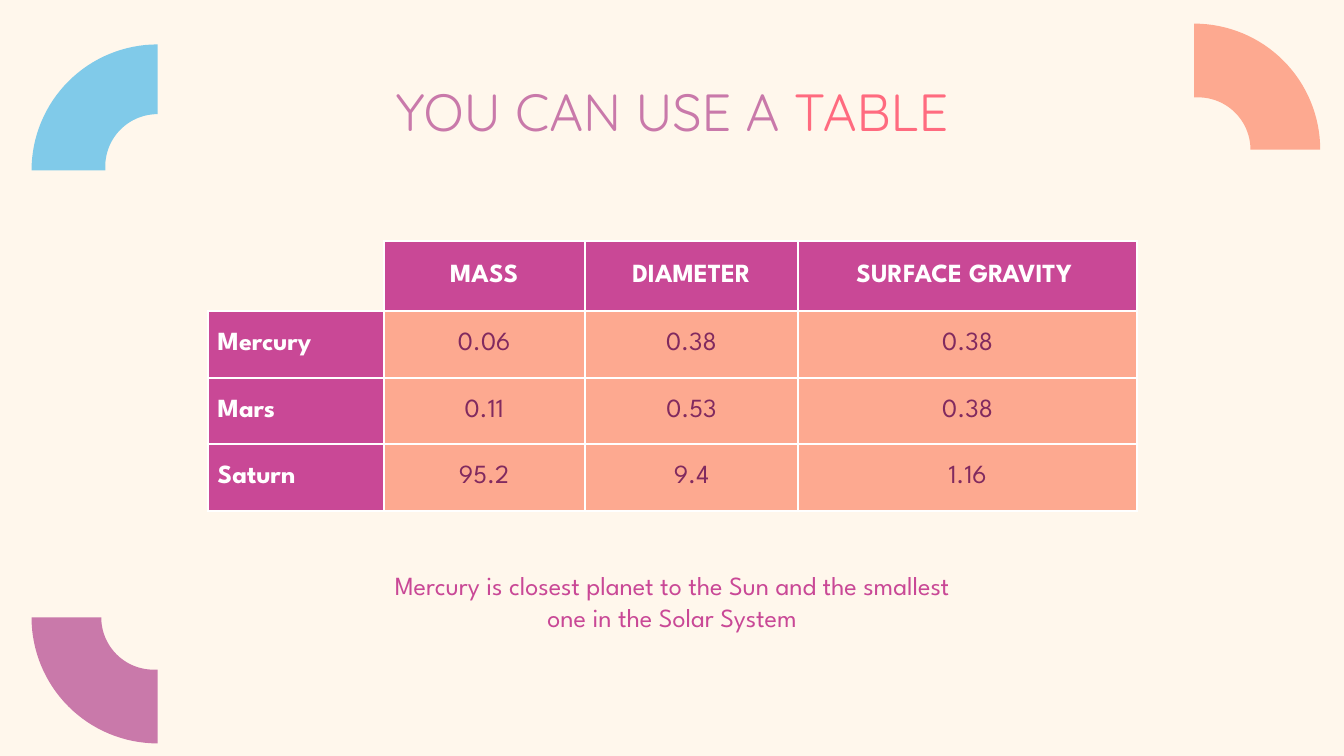
from dataclasses import dataclass
from math import cos, radians, sin

from lxml import etree
from pptx import Presentation
from pptx import util as u
from pptx.dml.color import RGBColor
from pptx.enum import text
from pptx.oxml import ns
from pptx.slide import Slide
from pptx.table import _Cell
from pptx.text.text import TextFrame

COLORS = {
    "cream": "FFF7EC",
    "mauve": "C979AA",
    "coral": "FF6B7F",
    "peach": "FDA990",
    "sky": "80CAE9",
    "magenta": "C94896",
    "plum": "812A5F",
    "white": "FFFFFF",
}
OUTER_RADIUS, INNER_RADIUS, INNER_SHIFT = 135, 56, 4.3
ARC_STEPS = 32
TEXT_INSET, CELL_INSET = 14.4, 10.8
BORDER_WIDTH = 2.25

TABLE_LEFT, TABLE_TOP = 222.5, 258.5
COLUMN_WIDTHS = [188.6, 215.3, 229, 362.9]
ROW_HEIGHTS = [75, 71.3, 71.3, 71.3]
PLANET_ROWS = [
    ["", "MASS", "DIAMETER", "SURFACE GRAVITY "],
    ["Mercury", "0.06", "0.38", "0.38"],
    ["Mars", "0.11", "0.53", "0.38"],
    ["Saturn", "95.2", "9.4", "1.16"],
]


@dataclass
class QuarterRing:
    center_x: float
    center_y: float
    start_angle: int
    color: str


@dataclass
class Run:
    text: str
    color: str
    font: str = "League Spartan"
    size: float = 28
    bold: bool = False


@dataclass
class TextBox:
    left: float
    top: float
    width: float
    height: float
    runs: list[Run]


RINGS = [
    QuarterRing(168.8, 661.5, 90, "mauve"),
    QuarterRing(1279.5, 160.3, 270, "peach"),
    QuarterRing(168.8, 182.6, 180, "sky"),
]
TEXT_BOXES = [
    TextBox(49, 70, 1342, 90, [
        Run("YOU CAN USE A ", "mauve", "Quicksand", 56),
        Run("TABLE", "coral", "Quicksand", 56),
    ]),
    TextBox(401.8, 596, 636.5, 103.7, [
        Run("Mercury is closest planet to the Sun and the smallest "
            "one in the Solar System", "magenta"),
    ]),
]


def rgb(name: str) -> RGBColor:
    return RGBColor.from_string(COLORS[name])


def polar(x: float, y: float, radius: float, angle: float) -> tuple[int, int]:
    return (u.Pt(x + radius * cos(radians(angle))),
            u.Pt(y + radius * sin(radians(angle))))


def draw_ring(slide: Slide, ring: QuarterRing) -> None:
    """Draw a quarter ring whose hole is nudged towards the end of its arc."""
    x, y, start = ring.center_x, ring.center_y, ring.start_angle
    angles = [start + 90 * step / ARC_STEPS for step in range(ARC_STEPS + 1)]
    hole_x = x + INNER_SHIFT * cos(radians(start + 90))
    hole_y = y + INNER_SHIFT * sin(radians(start + 90))
    points = [polar(x, y, OUTER_RADIUS, angle) for angle in angles]
    points += [polar(hole_x, hole_y, INNER_RADIUS, angle) for angle in reversed(angles)]
    points.append(polar(x, y, INNER_RADIUS, start))

    builder = slide.shapes.build_freeform(*points[0])
    builder.add_line_segments(points[1:], close=True)
    shape = builder.convert_to_shape()
    shape.shadow.inherit = False
    shape.fill.solid()
    shape.fill.fore_color.rgb = rgb(ring.color)
    shape.line.fill.background()


def write_runs(frame: TextFrame, runs: list[Run], alignment: text.PP_ALIGN) -> None:
    paragraph = frame.paragraphs[0]
    paragraph.alignment = alignment
    for item in runs:
        run = paragraph.add_run()
        run.text = item.text
        run.font.name = item.font
        run.font.size = u.Pt(item.size)
        run.font.bold = item.bold
        run.font.color.rgb = rgb(item.color)


def draw_text_box(slide: Slide, box: TextBox) -> None:
    shape = slide.shapes.add_textbox(
        u.Pt(box.left), u.Pt(box.top), u.Pt(box.width), u.Pt(box.height))
    frame = shape.text_frame
    frame.word_wrap = True
    frame.margin_left = frame.margin_right = u.Pt(TEXT_INSET)
    frame.margin_top = frame.margin_bottom = u.Pt(TEXT_INSET)
    write_runs(frame, box.runs, text.PP_ALIGN.CENTER)


def set_borders(cell: _Cell, visible: str) -> None:
    """Give white lines to the sides named in visible, and none to the rest."""
    properties = cell._tc.get_or_add_tcPr()
    for index, side in enumerate("LRTB"):
        line = etree.Element(ns.qn(f"a:ln{side}"), w=str(u.Pt(BORDER_WIDTH)))
        if side in visible:
            fill = etree.SubElement(line, ns.qn("a:solidFill"))
            etree.SubElement(fill, ns.qn("a:srgbClr"), val=COLORS["white"])
        else:
            etree.SubElement(line, ns.qn("a:noFill"))
        properties.insert(index, line)


def format_cell(cell: _Cell, content: str, row: int, column: int) -> None:
    cell.margin_left = cell.margin_right = u.Pt(CELL_INSET)
    cell.margin_top = cell.margin_bottom = u.Pt(CELL_INSET)
    cell.vertical_anchor = text.MSO_ANCHOR.MIDDLE
    if not content:
        cell.fill.background()
        set_borders(cell, "RB")
        return
    is_heading = row == 0 or column == 0
    cell.fill.solid()
    cell.fill.fore_color.rgb = rgb("magenta" if is_heading else "peach")
    set_borders(cell, "LRTB")
    run = Run(content, "white" if is_heading else "plum", bold=is_heading)
    alignment = text.PP_ALIGN.LEFT if column == 0 else text.PP_ALIGN.CENTER
    write_runs(cell.text_frame, [run], alignment)


def draw_planet_table(slide: Slide) -> None:
    table = slide.shapes.add_table(
        len(ROW_HEIGHTS), len(COLUMN_WIDTHS), u.Pt(TABLE_LEFT), u.Pt(TABLE_TOP),
        u.Pt(sum(COLUMN_WIDTHS)), u.Pt(sum(ROW_HEIGHTS))).table
    table.first_row = table.horz_banding = False
    for column, width in zip(table.columns, COLUMN_WIDTHS):
        column.width = u.Pt(width)
    for row, height in zip(table.rows, ROW_HEIGHTS):
        row.height = u.Pt(height)
    for row, contents in enumerate(PLANET_ROWS):
        for column, content in enumerate(contents):
            format_cell(table.cell(row, column), content, row, column)


def main() -> None:
    presentation = Presentation()
    presentation.slide_width = u.Pt(1440)
    presentation.slide_height = u.Pt(810)
    slide = presentation.slides.add_slide(presentation.slide_layouts[6])
    slide.background.fill.solid()
    slide.background.fill.fore_color.rgb = rgb("cream")
    for ring in RINGS:
        draw_ring(slide, ring)
    for box in TEXT_BOXES:
        draw_text_box(slide, box)
    draw_planet_table(slide)
    presentation.save("out.pptx")


if __name__ == "__main__":
    main()
